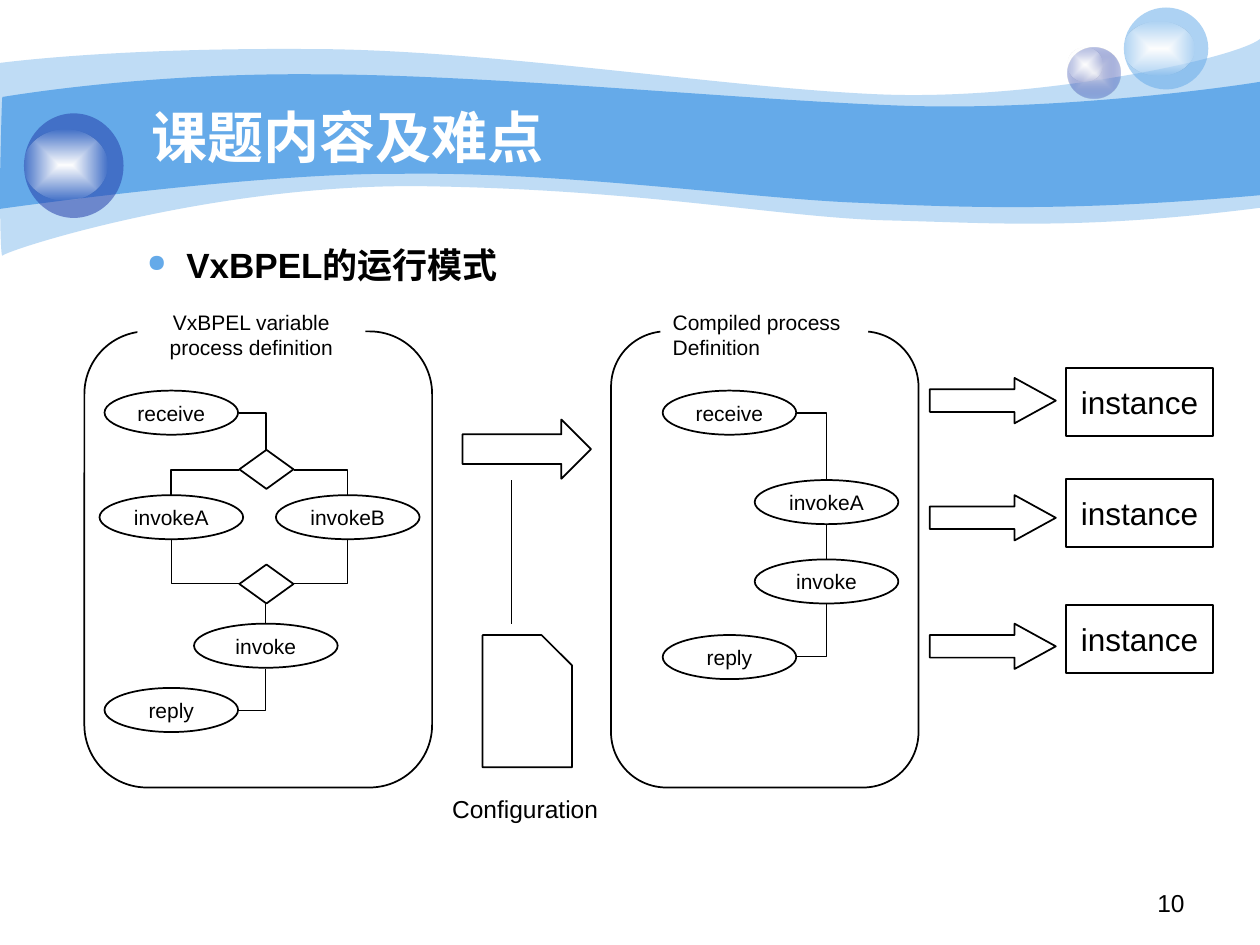
"""Build the slide on the running mode of VxBPEL."""
from lxml.etree import SubElement
from pptx import Presentation
from pptx.dml.color import RGBColor
from pptx.enum.shapes import MSO_CONNECTOR, MSO_SHAPE
from pptx.enum.text import MSO_ANCHOR, PP_ALIGN
from pptx.oxml import parse_xml
from pptx.oxml.ns import nsdecls, qn
from pptx.util import Inches, Pt

COLORS = {"sky": "65AAE9", "navy": "233DA9", "mist": "E1E2ED", "white": "FFFFFF", "black": "000000"}

deck = Presentation()
deck.slide_width, deck.slide_height = Inches(10), Inches(7.5)
page = deck.slides.add_slide(deck.slide_layouts[6])
COLUMN, ROW = deck.slide_width / 100, deck.slide_height / 75


def paint(shape, fill=None, line=None, alpha=100):
    shape.shadow.inherit = False
    if fill:
        shape.fill.solid()
        shape.fill.fore_color.rgb = RGBColor.from_string(COLORS[fill])
        if alpha < 100:
            color = shape._element.spPr.find(".//" + qn("a:srgbClr"))
            SubElement(color, qn("a:alpha")).set("val", str(alpha * 1000))
    else:
        shape.fill.background()
    if line:
        shape.line.color.rgb = RGBColor.from_string(COLORS[line])
        shape.line.width = Pt(1)
    else:
        shape.line.fill.background()
    return shape


def write(shape, lines, size, color="black", bold=False, align=PP_ALIGN.LEFT, **frame_format):
    frame = shape.text_frame
    for name, value in {"word_wrap": True, "vertical_anchor": MSO_ANCHOR.TOP, **frame_format}.items():
        setattr(frame, name, value)
    for index, line in enumerate(lines):
        para = frame.paragraphs[0] if index == 0 else frame.add_paragraph()
        para.alignment = align
        span = para.add_run()
        span.text = line
        for name, value in {"name": "Arial", "size": Pt(size), "bold": bold}.items():
            setattr(span.font, name, value)
        span.font.color.rgb = RGBColor.from_string(COLORS[color])
    return frame


waves = [
    (41, [(0, 5), (2.4, 4.7, 10.8, 3.8, 24.7, 3.9), (38.6, 3.9, 57.6, 7, 69.9, 7.5),
          (82.2, 8, 98, 4.7, 100, 3.1), (100, 16.5), (85.8, 18.3, 78.8, 17.7, 70.5, 17.5),
          (62.2, 17.3, 51.5, 15.1, 34.4, 14.8), (17.2, 14.4, 0.4, 19.9, 0.2, 20.3),
          (-0.1, 20.8, 0, 7.5, 0, 5)]),
    (100, [(0.2, 7.7), (0.3, 7.7, 11, 5.8, 24.8, 5.9), (38.7, 5.9, 59.6, 8, 71.8, 8.4),
           (84.1, 8.8, 97.6, 6.9, 100, 6.5), (100, 15.5), (85.3, 16.8, 76.6, 16.5, 68.2, 16.1),
           (59.9, 15.8, 44.7, 13.6, 31.7, 13.8), (20.3, 13.7, -0.2, 16.6, -0.1, 16.6),
           (0, 16.6, 0.1, 7.7, 0.2, 7.7)]),
]
for alpha, segments in waves:
    points = [(int(x * COLUMN), int(y * ROW))
              for segment in segments for x, y in zip(segment[::2], segment[1::2])]
    builder = page.shapes.build_freeform(*points[0])
    builder.add_line_segments(points[1:], close=True)
    wave = paint(builder.convert_to_shape(), "sky", alpha=alpha)
    steps = iter(wave._element.spPr.findall(".//" + qn("a:lnTo")))
    for segment in segments[1:]:
        step = next(steps)
        if len(segment) == 6:
            step.tag = qn("a:lnTo")
            curve = parse_xml(f'<a:cubicBezTo {nsdecls("a")}/>')
            step.addprevious(curve)
            for part in (step, next(steps), next(steps)):
                curve.append(part[0])
                part.getparent().remove(part)

glow = [("white", 100), ("white", 0)]
spheres = [
    (84.7, 3.8, 4.2, 4, [("mist", 100), ("navy", 31)]),
    (84.7, 3.8, 2.8, 2.7, glow),
    (89.2, 0.6, 6.7, 6.5, [("sky", 53)]),
    (89.2, 1.7, 5.6, 4.3, glow),
    (1.9, 9, 7.9, 8.3, [("navy", 53)]),
    (1.9, 10.3, 6.6, 5.6, glow),
]
for x, y, width, height, stops in spheres:
    sphere = page.shapes.add_shape(MSO_SHAPE.OVAL, int(x * COLUMN), int(y * ROW), int(width * COLUMN), int(height * ROW))
    paint(sphere, stops[0][0], alpha=stops[0][1])
    if len(stops) > 1:
        stop_xml = "".join(
            f'<a:gs pos="{index * 100000}"><a:srgbClr val="{COLORS[color]}">'
            f'<a:alpha val="{alpha * 1000}"/></a:srgbClr></a:gs>'
            for index, (color, alpha) in enumerate(stops))
        gradient = parse_xml(
            f'<a:gradFill {nsdecls("a")}><a:gsLst>{stop_xml}</a:gsLst><a:path path="shape">'
            '<a:fillToRect l="50000" t="50000" r="50000" b="50000"/></a:path></a:gradFill>')
        properties = sphere._element.spPr
        properties.replace(properties.find(qn("a:solidFill")), gradient)

texts = [
    (11, 7.05, 74.2, 7.5, "课题内容及难点", 32, "white", True, PP_ALIGN.LEFT, MSO_ANCHOR.MIDDLE),
    (10.7, 17.2, 82.5, 5.5, "VxBPEL的运行模式", 20, "black", True, PP_ALIGN.LEFT, MSO_ANCHOR.TOP),
    (34.9, 62.5, 13.6, 3.4, "Configuration", 14, "black", False, PP_ALIGN.LEFT, MSO_ANCHOR.TOP),
    (71.7, 70, 23.3, 3.5, "10", 14, "black", False, PP_ALIGN.RIGHT, MSO_ANCHOR.TOP),
]
for x, y, width, height, text, size, color, bold, align, anchor in texts:
    box = page.shapes.add_textbox(int(x * COLUMN), int(y * ROW), int(width * COLUMN), int(height * ROW))
    frame = write(box, [text], size, color, bold, align, vertical_anchor=anchor, word_wrap=text != "Configuration")
    if text.startswith("VxBPEL"):
        para = frame.paragraphs[0]
        para.line_spacing = 1.5
        properties = para._p.get_or_add_pPr()
        properties.set("marL", str(Inches(0.31)))
        properties.set("indent", str(-Inches(0.31)))
        SubElement(SubElement(properties, qn("a:buClr")), qn("a:srgbClr")).set("val", COLORS["sky"])
        SubElement(properties, qn("a:buSzPct")).set("val", "70000")
        SubElement(properties, qn("a:buChar")).set("char", "●")

panels = [
    (6.7, 27.6, 10.9, 18.1, ["VxBPEL variable", "process definition"], PP_ALIGN.CENTER),
    (48.5, 24.4, 52.4, 16.5, ["Compiled process", "Definition"], PP_ALIGN.LEFT),
]
for x, width, label_x, label_width, lines, align in panels:
    panel = page.shapes.add_shape(
        MSO_SHAPE.ROUNDED_RECTANGLE, int(x * COLUMN), int(26.3 * ROW), int(width * COLUMN), int(36.2 * ROW))
    panel.adjustments[0] = 0.18
    paint(panel, line="black")
    label = page.shapes.add_shape(
        MSO_SHAPE.RECTANGLE, int(label_x * COLUMN), int(24.1 * ROW), int(label_width * COLUMN), int(5 * ROW))
    write(paint(label, "white"), lines, 12, align=align)

activities = [
    ("receive", 8.3, 31), ("invokeA", 7.9, 39.3), ("invokeB", 21.9, 39.3), ("invoke", 15.4, 49.5),
    ("reply", 8.3, 54.6), ("receive", 52.6, 31), ("invokeA", 59.9, 38.1), ("invoke", 59.9, 44.4),
    ("reply", 52.6, 50.4),
]
for text, x, y in activities:
    width = 11.4 if text.startswith("invoke") else 10.6
    activity = page.shapes.add_shape(MSO_SHAPE.OVAL, int(x * COLUMN), int(y * ROW), int(width * COLUMN), int(3.5 * ROW))
    write(paint(activity, line="black"), [text], 12, align=PP_ALIGN.CENTER,
          vertical_anchor=MSO_ANCHOR.MIDDLE, word_wrap=False)

symbols = [
    (MSO_SHAPE.DIAMOND, 19, 35.7, 4.3, 3.1, []),
    (MSO_SHAPE.DIAMOND, 19, 44.8, 4.3, 3.1, []),
    (MSO_SHAPE.RIGHT_ARROW, 36.7, 33.3, 10.2, 4.7, []),
    (MSO_SHAPE.SNIP_1_RECTANGLE, 38.3, 50.4, 7.1, 10.5, [0.34]),
]
for kind, x, y, width, height, adjustments in symbols:
    symbol = page.shapes.add_shape(kind, int(x * COLUMN), int(y * ROW), int(width * COLUMN), int(height * ROW))
    for index, value in enumerate(adjustments):
        symbol.adjustments[index] = value
    paint(symbol, line="black")

for arrow_y, box_y in [(30, 29.2), (39.3, 38), (49.5, 48)]:
    arrow = page.shapes.add_shape(
        MSO_SHAPE.RIGHT_ARROW, int(73.8 * COLUMN), int(arrow_y * ROW), int(10 * COLUMN), int(3.6 * ROW))
    arrow.adjustments[1] = 0.91
    paint(arrow, "white", "black")
    instance = page.shapes.add_shape(
        MSO_SHAPE.RECTANGLE, int(84.6 * COLUMN), int(box_y * ROW), int(11.7 * COLUMN), int(5.4 * ROW))
    write(paint(instance, "white", "black"), ["instance"], 18, align=PP_ALIGN.CENTER, vertical_anchor=MSO_ANCHOR.MIDDLE)

links = [
    (19, 32.8, 21.1, 35.7, 1), (23.3, 37.3, 27.6, 39.3, 0.75), (19, 37.3, 13.6, 39.3, 1),
    (19, 46.3, 13.6, 42.8, 0.75), (23.3, 46.3, 27.6, 42.9, 0.75), (21.1, 47.9, 21.1, 49.5, 0.75),
    (19, 56.4, 21.1, 53.1, 0.75), (63.2, 32.8, 65.6, 38.1, 1), (65.6, 41.6, 65.6, 44.4, 0.75),
    (63.2, 52.1, 65.6, 47.9, 0.75), (40.6, 38.1, 40.6, 49.5, 0.75),
]
for x1, y1, x2, y2, weight in links:
    kind = MSO_CONNECTOR.STRAIGHT if x1 == x2 else MSO_CONNECTOR.ELBOW
    link = page.shapes.add_connector(kind, int(x1 * COLUMN), int(y1 * ROW), int(x2 * COLUMN), int(y2 * ROW))
    link.line.color.rgb = RGBColor.from_string(COLORS["black"])
    link.line.width = Pt(weight)
    properties = link._element.spPr
    if kind == MSO_CONNECTOR.ELBOW:
        properties.find(qn("a:prstGeom")).set("prst", "bentConnector2")
    SubElement(properties, qn("a:effectLst"))

deck.save("out.pptx")
